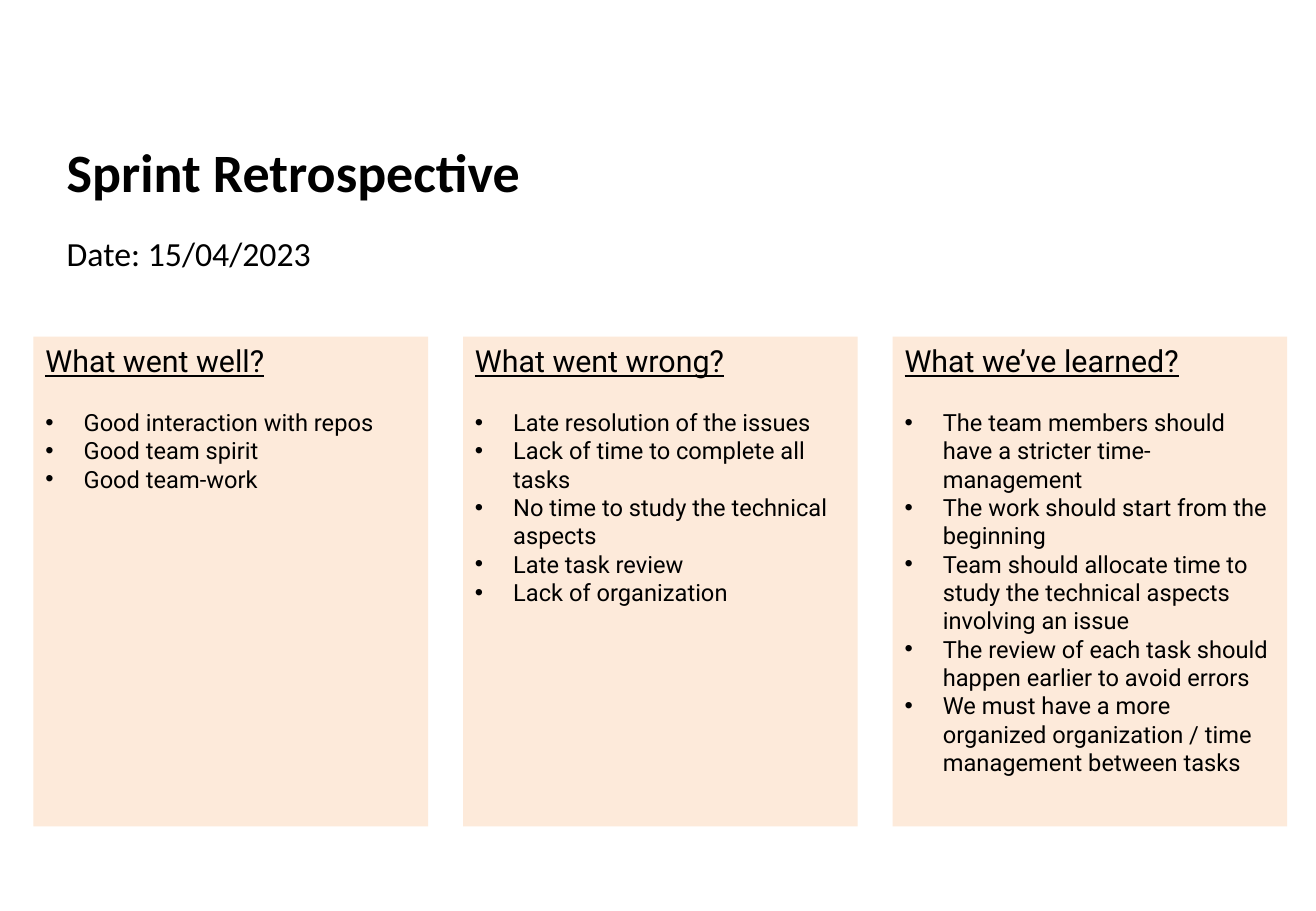
from lxml.etree import SubElement
from pptx import Presentation
from pptx.dml.color import RGBColor
from pptx.enum.shapes import MSO_SHAPE as Preset
from pptx.enum.text import MSO_ANCHOR as Anchor, MSO_AUTO_SIZE as AutoSize, PP_ALIGN as Align
from pptx.oxml.ns import qn
from pptx.util import Cm, Pt

BLACK, PEACH = "000000", "FDEADA"
HEADER_LEFT, HEADER_WIDTH = 1.14, 25.12
CARD_LEFT, CARD_TOP, CARD_STEP = 0.7, 7.04, 8.98
CARD_WIDTH, CARD_HEIGHT = 8.25, 10.24
BULLET_INDENT = 0.8

CARDS = [
    ("What went well?", [
        "Good interaction with repos",
        "Good team spirit",
        "Good team-work",
    ]),
    ("What went wrong?", [
        "Late resolution of the issues",
        "Lack of time to complete all tasks",
        "No time to study the technical aspects",
        "Late task review",
        "Lack of organization",
    ]),
    ("What we’ve learned?", [
        "The team members should have a stricter time-management",
        "The work should start from the beginning",
        "Team should allocate time to study the technical aspects involving an issue",
        "The review of each task should happen earlier to avoid errors",
        "We must have a more organized organization / time management between tasks",
    ]),
]


def color(value):
    return RGBColor.from_string(value)


def format_paragraph(paragraph, text, font_name, size, bold=False, underline=False):
    paragraph.text = text
    paragraph.alignment = Align.LEFT
    paragraph.space_before = Pt(0)
    font = paragraph.font
    font.name, font.size = font_name, Pt(size)
    font.bold, font.underline = bold, underline
    font.color.rgb = color(BLACK)


def set_bullet(paragraph, character=None, indent=0):
    """Hang the paragraph on a bullet, or drop the inherited one."""
    properties = paragraph._p.get_or_add_pPr()
    properties.set("marL", str(Cm(indent)))
    properties.set("indent", str(-Cm(indent)))
    if character:
        SubElement(properties, qn("a:buFont"), typeface="Arial")
        SubElement(properties, qn("a:buChar"), char=character)
    else:
        SubElement(properties, qn("a:buNone"))


def fill_placeholder(shape, top, height, text, size, anchor, bold=False):
    shape.left, shape.top = Cm(HEADER_LEFT), Cm(top)
    shape.width, shape.height = Cm(HEADER_WIDTH), Cm(height)
    frame = shape.text_frame
    frame.auto_size = AutoSize.NONE
    frame.vertical_anchor = anchor
    paragraph = frame.paragraphs[0]
    format_paragraph(paragraph, text, "Calibri", size, bold=bold)
    set_bullet(paragraph)


def add_card(slide, left, heading, items):
    card = slide.shapes.add_shape(
        Preset.RECTANGLE, Cm(left), Cm(CARD_TOP), Cm(CARD_WIDTH), Cm(CARD_HEIGHT))
    card.shadow.inherit = False
    card.fill.solid()
    card.fill.fore_color.rgb = color(PEACH)
    card.line.fill.background()

    frame = card.text_frame
    frame.word_wrap = True
    frame.vertical_anchor = Anchor.TOP
    title = frame.paragraphs[0]
    format_paragraph(title, heading, "Roboto", 18, underline=True)
    title.space_after = Pt(17)
    for item in items:
        paragraph = frame.add_paragraph()
        format_paragraph(paragraph, item, "Roboto", 14)
        set_bullet(paragraph, "•", BULLET_INDENT)


def main():
    presentation = Presentation()
    presentation.slide_width, presentation.slide_height = Cm(27.51), Cm(19.05)
    slide = presentation.slides.add_slide(presentation.slide_layouts[1])

    # Title and date
    fill_placeholder(slide.shapes.title, 2.77, 1.6, "Sprint Retrospective",
                     32, Anchor.MIDDLE, bold=True)
    fill_placeholder(slide.placeholders[1], 4.75, 12.75, "Date: 15/04/2023",
                     20, Anchor.TOP)

    # Retrospective cards
    for index, (heading, items) in enumerate(CARDS):
        add_card(slide, CARD_LEFT + index * CARD_STEP, heading, items)

    presentation.save("out.pptx")


main()
